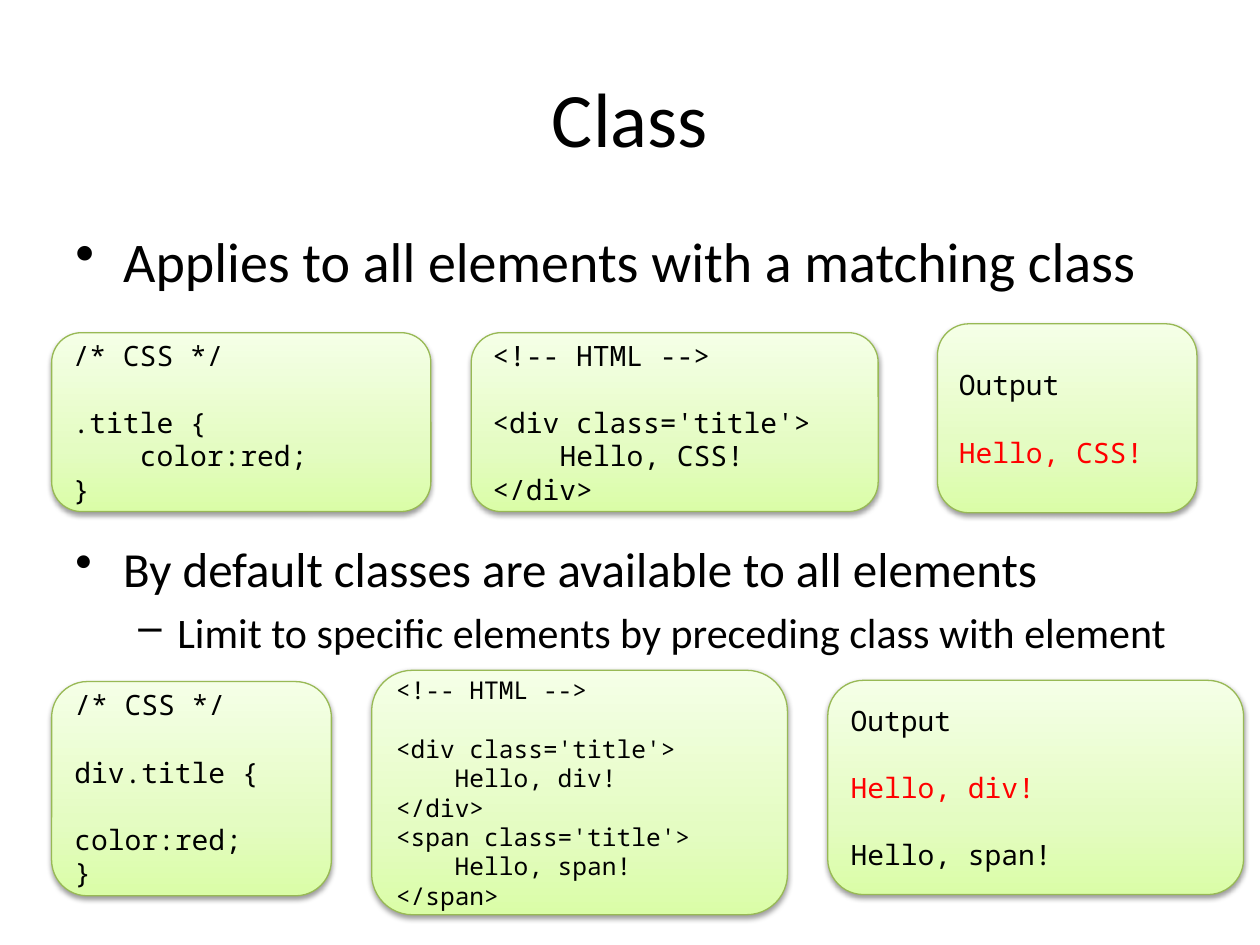
from lxml import etree
from pptx import Presentation
from pptx import util as u
from pptx.dml.color import RGBColor
from pptx.enum import shapes, text
from pptx.oxml.ns import qn

BLACK = RGBColor(0x00, 0x00, 0x00)
RED = RGBColor(0xFF, 0x00, 0x00)
GREEN = RGBColor(0x98, 0xB9, 0x55)
PANEL_STOPS = [
    (0, RGBColor(0xDA, 0xFD, 0xA7)),
    (35, RGBColor(0xE4, 0xFC, 0xC2)),
    (100, RGBColor(0xF5, 0xFF, 0xE7)),
]
BODY_FONT = "Calibri"
CODE_FONT = "Noto Sans Mono"
LINE_HEIGHT = 1.2
CHAR_WIDTH = 0.6


def add_color(parent, color):
    return etree.SubElement(parent, qn("a:srgbClr"), val=str(color))


class Deck:
    """Holds the presentation, its current slide and the shared style."""

    def __init__(self):
        self.presentation = Presentation()
        self.presentation.slide_width = u.Inches(10)
        self.presentation.slide_height = u.Inches(7.5)
        self.slide = self.presentation.slides.add_slide(
            self.presentation.slide_layouts[6])

    def style(self, paragraph, font, size, color=BLACK):
        paragraph.font.name = font
        paragraph.font.size = u.Pt(size)
        paragraph.font.color.rgb = color

    def text_frame(self, left, top, width, height):
        box = self.slide.shapes.add_textbox(*map(u.Inches, (left, top, width, height)))
        box.text_frame.word_wrap = True
        return box.text_frame

    def title(self, wording):
        frame = self.text_frame(0.5, 0.3, 9, 1.25)
        frame.vertical_anchor = text.MSO_ANCHOR.MIDDLE
        heading = frame.paragraphs[0]
        heading.text = wording
        heading.alignment = text.PP_ALIGN.CENTER
        self.style(heading, BODY_FONT, 44)

    def bullets(self, items):
        """Items are (wording, size, space before, bullet, margin, hanging)."""
        frame = self.text_frame(0.5, 1.75, 9, 4.95)
        frame.text = "\n".join(item[0] for item in items)
        for point, (_, size, gap, bullet, margin, hanging) in zip(frame.paragraphs, items):
            point.space_before = u.Pt(gap)
            self.style(point, BODY_FONT, size)
            properties = point._p.get_or_add_pPr()
            properties.set("marL", str(u.Inches(margin)))
            properties.set("indent", str(u.Inches(-hanging)))
            mark = etree.Element(qn("a:buChar"), char=bullet)
            properties.find(qn("a:defRPr")).addprevious(mark)

    def panel(self, left, top, width, height):
        """Draw a rounded box with a green gradient and a soft shadow."""
        box = self.slide.shapes.add_shape(
            shapes.MSO_SHAPE.ROUNDED_RECTANGLE,
            *map(u.Inches, (left, top, width, height)))
        box.fill.gradient()
        box.fill.gradient_angle = 90
        properties = box._element.spPr
        stops = properties.find(".//" + qn("a:gsLst"))
        for stop in list(stops):
            stops.remove(stop)
        for percent, color in PANEL_STOPS:
            add_color(etree.SubElement(stops, qn("a:gs"), pos=str(percent * 1000)), color)
        box.line.color.rgb = GREEN
        box.line.width = u.Pt(0.75)

        box.shadow.inherit = False
        shadow = etree.SubElement(
            properties.find(qn("a:effectLst")), qn("a:outerShdw"),
            blurRad=str(u.Pt(3.1)), dist=str(u.Pt(1.6)), dir="5400000", rotWithShape="0")
        etree.SubElement(add_color(shadow, BLACK), qn("a:alpha"), val="38000")
        return box

    def code(self, place, lines, size=16, red=None, indented=(), spaced=(1,)):
        """Fill a panel with code; spaced lines have an empty line above them."""
        frame = self.panel(*place).text_frame
        frame.vertical_anchor = text.MSO_ANCHOR.MIDDLE
        frame.text = "\n".join(lines)
        for number, line in enumerate(frame.paragraphs):
            line.alignment = text.PP_ALIGN.LEFT
            self.style(line, CODE_FONT, size, RED if number == red else BLACK)
            if number in spaced:
                line.space_before = u.Pt(size * LINE_HEIGHT)
            if number in indented:
                line._p.get_or_add_pPr().set("marL", str(u.Pt(4 * CHAR_WIDTH * size)))


def main():
    deck = Deck()
    deck.title("Class")
    deck.bullets([
        ("Applies to all elements with a matching class", 32, 6.4, "•", 0.38, 0.38),
        ("By default classes are available to all elements", 28, 140, "•", 0.38, 0.38),
        ("Limit to specific elements by preceding class with element",
         24, 4.8, "–", 0.81, 0.31),
    ])

    deck.code((0.41, 2.64, 3.01, 1.42),
              ["/* CSS */", ".title {", "color:red;", "}"], indented=(2,))
    deck.code((3.74, 2.64, 3.23, 1.42),
              ["<!-- HTML -->", "<div class='title'>", "Hello, CSS!", "</div>"],
              indented=(2,))
    deck.code((7.44, 2.57, 2.06, 1.5), ["Output", "Hello, CSS!"], red=1)

    deck.code((0.41, 5.41, 2.22, 1.7),
              ["/* CSS */", "div.title {", "color:red;", "}"], spaced=(1, 2))
    deck.code((2.95, 5.32, 3.3, 1.94),
              ["<!-- HTML -->", "<div class='title'>", "Hello, div!", "</div>",
               "<span class='title'>", "Hello, span!", "</span>"],
              size=14, indented=(2, 5))
    deck.code((6.57, 5.4, 3.3, 1.7), ["Output", "Hello, div!", "Hello, span!"],
              red=1, spaced=(1, 2))
    deck.presentation.save("out.pptx")


if __name__ == "__main__":
    main()
